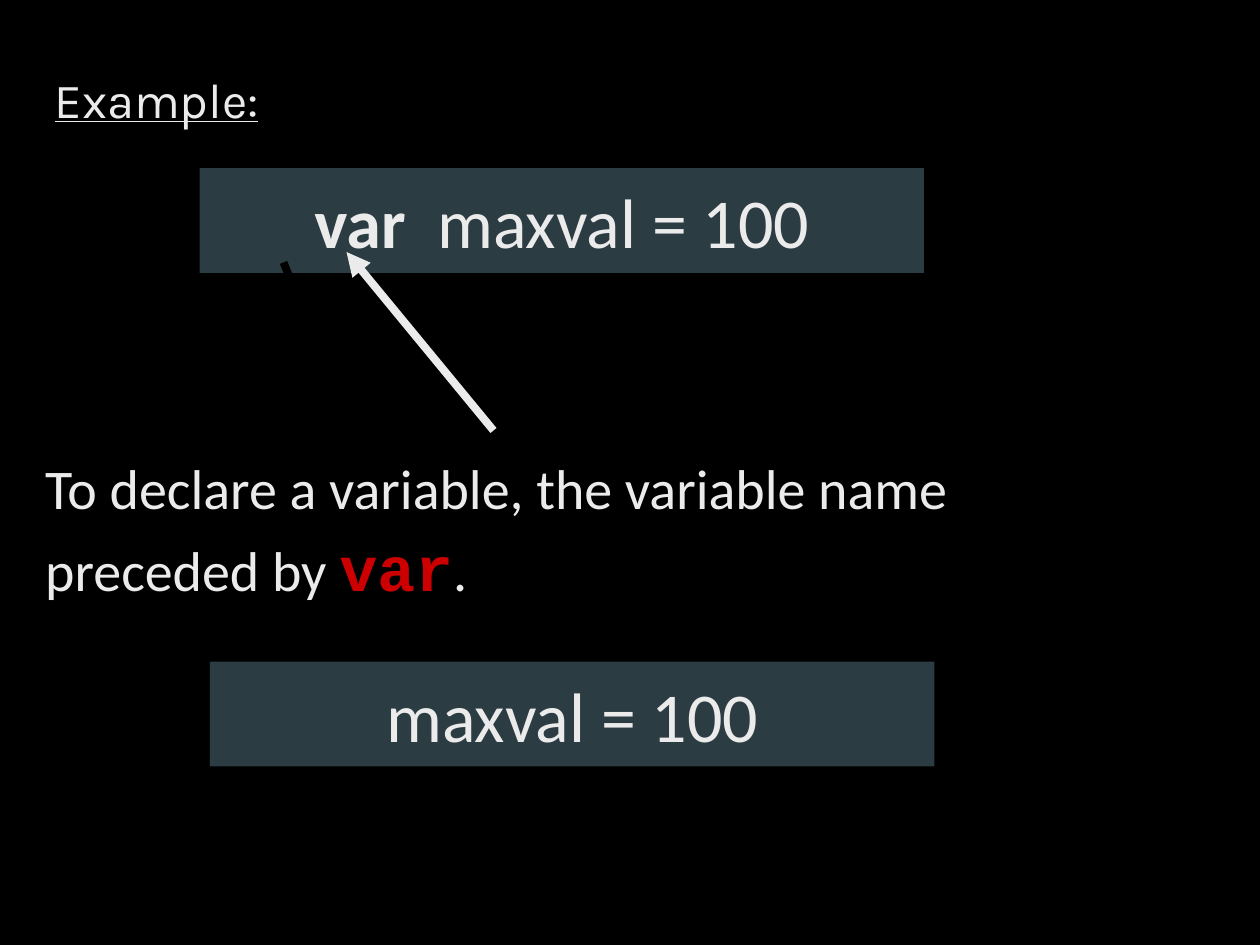
from pptx import Presentation
from pptx.dml.color import RGBColor
from pptx.enum.shapes import MSO_CONNECTOR, MSO_SHAPE
from pptx.enum.text import MSO_ANCHOR, MSO_AUTO_SIZE, PP_ALIGN
from pptx.oxml.ns import qn
from pptx.util import Pt
from lxml.etree import SubElement

COLORS = {"back": "000000", "text": "EBEBEB", "panel": "2C3C43", "keyword": "CC0000"}


def rgb(name):
    """Return the named colour."""
    return RGBColor.from_string(COLORS[name])


def style(font, name, size, color="text"):
    """Set the face, size and colour of a font."""
    font.name, font.size = name, Pt(size)
    font.color.rgb = rgb(color)


def add_title(s, text, box):
    """Place the underlined slide title."""
    sp = s.shapes.title
    sp.left, sp.top, sp.width, sp.height = map(Pt, box)
    tf = sp.text_frame
    tf.text = text
    tf.vertical_anchor = MSO_ANCHOR.TOP
    tf.auto_size = MSO_AUTO_SIZE.NONE
    p = tf.paragraphs[0]
    p.alignment = PP_ALIGN.LEFT
    p.line_spacing, p.space_before = 1.0, Pt(10)
    style(p.font, "Karla", 28)
    p.font.underline = True


def add_code(s, code, box, keyword=""):
    """Place a code panel, with an optional bold keyword in front."""
    sp = s.shapes.add_shape(MSO_SHAPE.RECTANGLE, *map(Pt, box))
    sp.shadow.inherit = False
    sp.fill.solid()
    sp.fill.fore_color.rgb = rgb("panel")
    sp.line.fill.background()
    p = sp.text_frame.paragraphs[0]
    p.alignment, p.space_before = PP_ALIGN.CENTER, Pt(10)
    style(p.font, "Calibri", 40)
    if keyword:
        r = p.add_run()
        r.text, r.font.bold = keyword, True
    p.add_run().text = code


def add_arrow(s, ends, color, arrowhead):
    """Draw a thick arrow with its head at headEnd or tailEnd."""
    c = s.shapes.add_connector(MSO_CONNECTOR.STRAIGHT, *map(Pt, ends))
    c.line.width = Pt(4.5)
    c.line.color.rgb = rgb(color)
    SubElement(c.line._get_or_add_ln(), qn(f"a:{arrowhead}"), type="triangle")
    SubElement(c._element.spPr, qn("a:effectLst"))


def add_explanation(s, box):
    """Place the two-line explanation with its highlighted keyword."""
    tf = s.shapes.add_textbox(*map(Pt, box)).text_frame
    tf.word_wrap = True
    tf.text = "To declare a variable, the variable name\npreceded by "
    for p in tf.paragraphs:
        p.line_spacing = 1.1
        style(p.font, "Calibri", 32)
    r = p.add_run()
    r.text, r.font.bold = "var", True
    style(r.font, "Courier New", 36, "keyword")
    p.add_run().text = "."


def build_slide(prs):
    """Build the slide on declaring variables."""
    s = prs.slides.add_slide(prs.slide_layouts[5])
    s.background.fill.solid()
    s.background.fill.fore_color.rgb = rgb("back")
    add_title(s, "Example:", (24, 36, 144, 60))
    add_code(s, "  maxval = 100", (114, 96, 414, 60), "var")
    add_arrow(s, (162, 150, 240, 342), "back", "tailEnd")
    add_arrow(s, (198, 144, 282, 246), "text", "headEnd")
    add_explanation(s, (18.72, 252, 613.44, 97.2))
    add_code(s, "maxval = 100", (120, 378, 414, 60))


def main():
    """Create and save the presentation."""
    prs = Presentation()
    prs.slide_width, prs.slide_height = Pt(720), Pt(540)
    build_slide(prs)
    prs.save("out.pptx")


if __name__ == "__main__":
    main()
